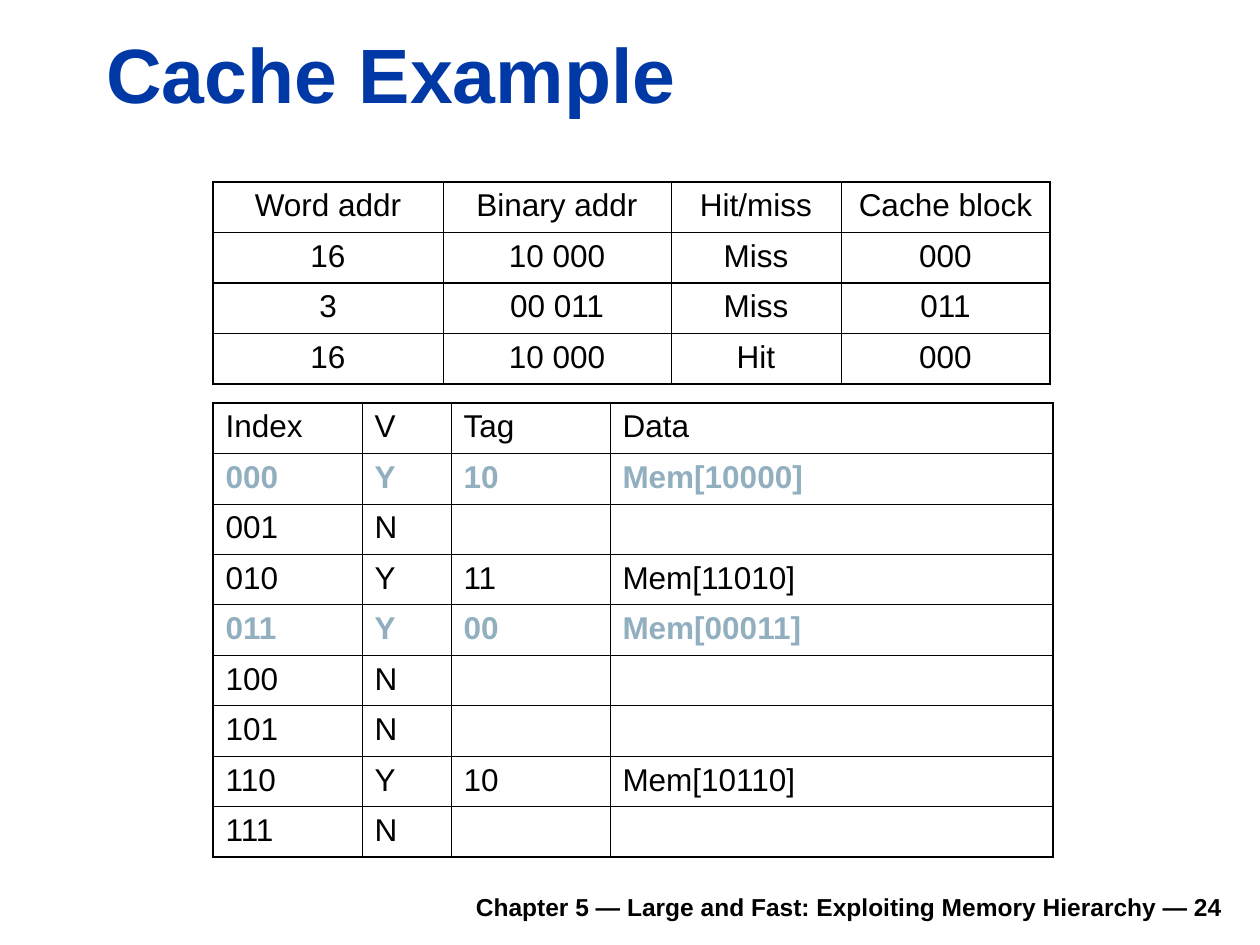
import pptx
import pptx.util
import pptx.dml.color
import pptx.enum.text
import pptx.oxml
import pptx.oxml.ns

ALIGN = pptx.enum.text.PP_ALIGN
BLACK, BLUE, GREY_BLUE = "000000", "0039A6", "91AFBF"
OUTER, INNER, THIN = 1.08, 0.75, 0.45


def px(n):
    return pptx.util.Emu(round(n * 914400 / 126))


def rgb(color):
    return pptx.dml.color.RGBColor.from_string(color)


class Deck:
    """Holds the text style and the current slide."""

    font = "Arial"

    def __init__(self, width, height):
        self.prs = pptx.Presentation()
        self.prs.slide_width, self.prs.slide_height = px(width), px(height)
        self.s = self.prs.slides.add_slide(self.prs.slide_layouts[6])

    def set_text(self, tf, text, size, color=BLACK, bold=False, align=ALIGN.LEFT):
        tf.text = text
        p = tf.paragraphs[0]
        p.alignment = align
        p.font.size = pptx.util.Pt(size)
        for r in p.runs:
            r.font.name = self.font
            r.font.size = pptx.util.Pt(size)
            r.font.bold = bold
            r.font.color.rgb = rgb(color)

    def text(self, x, y, w, h, text, size, color=BLACK, align=ALIGN.LEFT):
        tf = self.s.shapes.add_textbox(px(x), px(y), px(w), px(h)).text_frame
        tf.word_wrap = True
        tf.vertical_anchor = pptx.enum.text.MSO_ANCHOR.BOTTOM
        self.set_text(tf, text, size, color, True, align)

    def borders(self, cell, widths):
        for side, width in zip("LRTB", widths):
            cell._tc.get_or_add_tcPr().append(pptx.oxml.parse_xml(
                f'<a:ln{side} {pptx.oxml.ns.nsdecls("a")} w="{pptx.util.Pt(width)}">'
                f'<a:solidFill><a:srgbClr val="{BLACK}"/></a:solidFill></a:ln{side}>'))

    def table(self, x, y, h, widths, rows, rule, align=ALIGN.LEFT, marked=()):
        tbl = self.s.shapes.add_table(
            len(rows), len(widths), px(x), px(y), px(sum(widths)), px(h)).table
        tbl.first_row = tbl.horz_banding = False
        for column, width in zip(tbl.columns, widths):
            column.width = px(width)
        across = [OUTER, INNER] + [rule] * (len(rows) - 2) + [OUTER]
        down = [OUTER] + [THIN] * (len(widths) - 1) + [OUTER]
        for i, row in enumerate(rows):
            hit = row[0] in marked
            for j, value in enumerate(row):
                cell = tbl.cell(i, j)
                self.borders(cell, down[j:j + 2] + across[i:i + 2])
                cell.fill.background()
                self.set_text(cell.text_frame, value, 18,
                              GREY_BLUE if hit else BLACK, hit, align)


def main():
    deck = Deck(1260, 945)
    deck.text(233, 879, 1002, 49,
              "Chapter 5 — Large and Fast: Exploiting Memory Hierarchy — 24",
              14, align=ALIGN.RIGHT)
    deck.text(94, 20, 1138, 105, "Cache Example", 44, BLUE)
    cache = [
        ("Index", "V", "Tag", "Data"),
        ("000", "Y", "10", "Mem[10000]"),
        ("001", "N", "", ""),
        ("010", "Y", "11", "Mem[11010]"),
        ("011", "Y", "00", "Mem[00011]"),
        ("100", "N", "", ""),
        ("101", "N", "", ""),
        ("110", "Y", "10", "Mem[10110]"),
        ("111", "N", "", ""),
    ]
    deck.table(213, 403, 454, (149, 89, 159, 443), cache, THIN,
               marked=("000", "011"))
    accesses = [
        ("Word addr", "Binary addr", "Hit/miss", "Cache block"),
        ("16", "10 000", "Miss", "000"),
        ("3", "00 011", "Miss", "011"),
        ("16", "10 000", "Hit", "000"),
    ]
    deck.table(213, 182, 202, (230, 228, 170, 209), accesses, INNER, ALIGN.CENTER)
    deck.prs.save("out.pptx")


if __name__ == "__main__":
    main()
